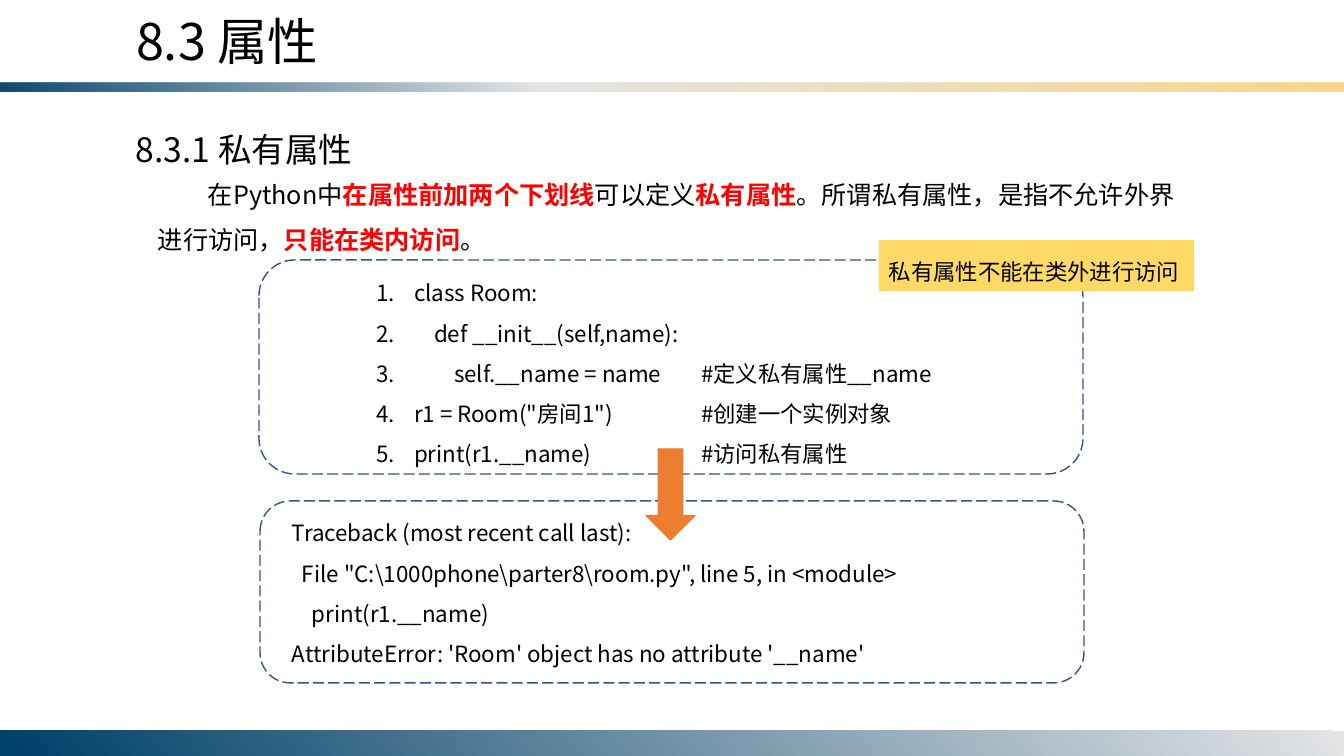
from pptx import Presentation, util as u
from pptx.dml.color import RGBColor
from pptx.enum import dml, shapes, text
from pptx.oxml import parse_xml
from pptx.oxml.ns import nsdecls

# Content
FONT = "Noto Sans CJK SC"
BLACK, RED = "000000", "FF0000"
TITLE = "8.3 属性"
SUBTITLE = "8.3.1 私有属性"
# Emphasised pieces are marked True
EXPLANATION = [
    ("在Python中", False),
    ("在属性前加两个下划线", True),
    ("可以定义", False),
    ("私有属性", True),
    ("。所谓私有属性，是指不允许外界进行访问，", False),
    ("只能在类内访问", True),
    ("。", False),
]
CODE = [
    "class Room:",
    "    def __init__(self,name):",
    "        self.__name = name\t#定义私有属性__name",
    'r1 = Room("房间1")\t#创建一个实例对象',
    "print(r1.__name)\t#访问私有属性",
]
TRACEBACK = [
    "Traceback (most recent call last):",
    '  File "C:\\1000phone\\parter8\\room.py", line 5, in <module>',
    "    print(r1.__name)",
    "AttributeError: 'Room' object has no attribute '__name'",
]
CALLOUT = "私有属性不能在类外进行访问"
# Box, gradient angle, stops as (percent, colour, opacity)
BARS = [
    ((0, 83, 1344, 9), 310, [(0, "00416A", 95), (40, "E4E5E6", 100), (100, "FBD786", 100)]),
    ((0, 731, 1344, 25), 140, [(0, "E4E5E6", 100), (99, "00416A", 100)]),
]
FRAMES = [(259, 260, 824, 214), (260, 501, 824, 182)]
NUMBER_INDENT, COMMENT_TAB, FIRST_LINE = 38, 325, 50


def px(value):
    return u.Emu(round(value * 914400 / 100.8))


def colour(value):
    return RGBColor.from_string(value)


def place(shape, box):
    shape.left, shape.top, shape.width, shape.height = map(px, box)


def add_shape(kind, box, fill=None, line=None):
    shape = slide.shapes.add_shape(kind, *map(px, box))
    shape.shadow.inherit = False
    if fill:
        shape.fill.solid()
        shape.fill.fore_color.rgb = colour(fill)
    else:
        shape.fill.background()
    if line:
        shape.line.color.rgb = colour(line)
        shape.line.width = u.Pt(1)
    else:
        shape.line.fill.background()
    return shape


def add_textbox(box):
    return slide.shapes.add_textbox(*map(px, box))


def style(paragraph, size, spacing):
    paragraph.alignment = text.PP_ALIGN.LEFT
    paragraph.line_spacing = spacing
    paragraph.space_before = u.Pt(0)
    font = paragraph.font
    font.size, font.name = u.Pt(size), FONT
    font.color.rgb = colour(BLACK)
    properties = paragraph._p.get_or_add_pPr().find("{*}defRPr")
    properties.append(parse_xml(f'<a:ea {nsdecls("a")} typeface="{FONT}"/>'))


def write(shape, lines, size, spacing=1.5, numbered=False):
    frame = shape.text_frame
    frame.word_wrap = True
    frame.auto_size = text.MSO_AUTO_SIZE.NONE
    frame.vertical_anchor = text.MSO_ANCHOR.TOP
    for index, line in enumerate(lines):
        paragraph = frame.paragraphs[0] if index == 0 else frame.add_paragraph()
        paragraph.text = line
        if numbered:
            number(paragraph)
        style(paragraph, size, spacing)


def number(paragraph):
    properties = paragraph._p.get_or_add_pPr()
    properties.set("marL", str(px(NUMBER_INDENT)))
    properties.set("indent", str(-px(NUMBER_INDENT)))
    for xml in (
        f'<a:buFont {nsdecls("a")} typeface="+mj-lt"/>',
        f'<a:buAutoNum {nsdecls("a")} type="arabicPeriod"/>',
        f'<a:tabLst {nsdecls("a")}><a:tab pos="{px(COMMENT_TAB)}" algn="l"/></a:tabLst>',
    ):
        properties.append(parse_xml(xml))


def fill_gradient(shape, angle, stops):
    stops_xml = "".join(
        f'<a:gs pos="{position * 1000}"><a:srgbClr val="{value}">'
        f'<a:alpha val="{opacity * 1000}"/></a:srgbClr></a:gs>'
        for position, value, opacity in stops
    )
    gradient = parse_xml(
        f'<a:gradFill {nsdecls("a")} rotWithShape="1"><a:gsLst>{stops_xml}</a:gsLst>'
        f'<a:lin ang="{angle * 60000}" scaled="0"/></a:gradFill>'
    )
    properties = shape._element.spPr
    properties.replace(properties.find("{*}noFill"), gradient)


presentation = Presentation()
presentation.slide_width, presentation.slide_height = px(1344), px(756)
slide = presentation.slides.add_slide(presentation.slide_layouts[1])
title, code = slide.placeholders

# Gradient bars
for box, angle, stops in BARS:
    fill_gradient(add_shape(shapes.MSO_SHAPE.RECTANGLE, box), angle, stops)

# Headings
place(title, (126, 5, 617, 71))
write(title, [TITLE], 36, 1.0)
write(add_textbox((126, 124, 520, 50)), [SUBTITLE], 24, 1.0)

# Explanation with emphasised words
explanation = add_textbox((148, 159, 1044, 102))
write(explanation, [""], 18)
paragraph = explanation.text_frame.paragraphs[0]
paragraph._p.get_or_add_pPr().set("indent", str(px(FIRST_LINE)))
for words, emphasised in EXPLANATION:
    run = paragraph.add_run()
    run.text = words
    if emphasised:
        run.font.bold = True
        run.font.color.rgb = colour(RED)

# Code, its output and their dashed frames
place(code, (366, 261, 609, 214))
write(code, CODE, 16, numbered=True)
write(add_textbox((282, 501, 663, 173)), TRACEBACK, 16)
for box in FRAMES:
    frame = add_shape(shapes.MSO_SHAPE.ROUNDED_RECTANGLE, box, line="325491")
    frame.line.dash_style = dml.MSO_LINE.LONG_DASH

# Arrow and callout
add_shape(shapes.MSO_SHAPE.DOWN_ARROW, (646, 449, 49, 91), "ED7D31", "ED7D31")
callout = add_shape(shapes.MSO_SHAPE.RECTANGLE, (879, 240, 315, 51), "FFD966")
write(callout, [CALLOUT], 16)

presentation.save("out.pptx")
